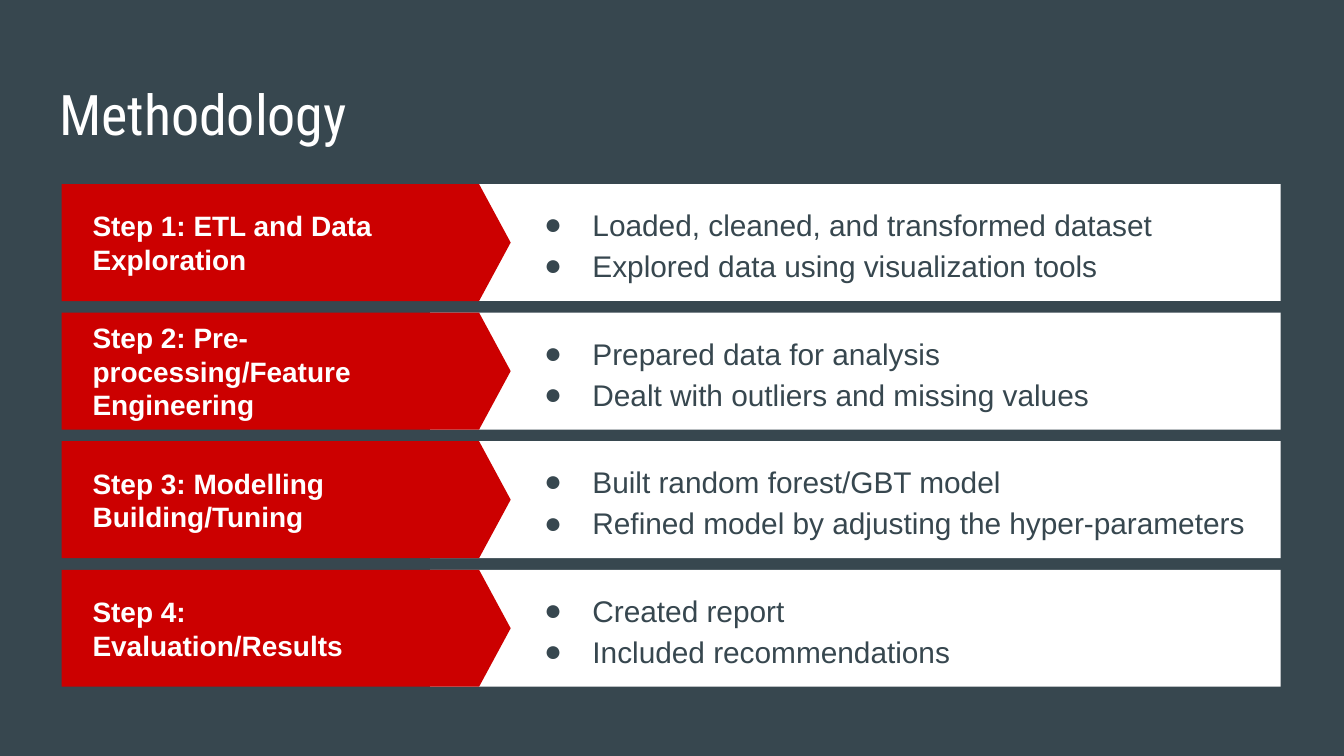
"""Build the Methodology slide: four step banners with their actions."""
import pptx
import pptx.util
from pptx.dml.color import RGBColor
from pptx.enum.shapes import MSO_SHAPE
from pptx.enum.text import MSO_ANCHOR, PP_ALIGN
from pptx.oxml import parse_xml
from pptx.oxml.ns import nsdecls

SLATE = RGBColor(0x37, 0x47, 0x4F)
RED = RGBColor(0xCC, 0x00, 0x00)
WHITE = RGBColor(0xFF, 0xFF, 0xFF)

FIRST_ROW, LAST_ROW, ROW_HEIGHT = 1.37, 4.24, 0.87
PANEL = (3.2, 6.33)
BANNER = (0.46, 3.34)
STEP = (0.59, 2.65)
ACTIONS = (3.81, 5.59)

STEPS = [
    ("Step 1: ETL and Data Exploration",
     ["Loaded, cleaned, and transformed dataset", "Explored data using visualization tools"]),
    ("Step 2: Pre-processing/Feature Engineering",
     ["Prepared data for analysis", "Dealt with outliers and missing values"]),
    ("Step 3: Modelling Building/Tuning",
     ["Built random forest/GBT model", "Refined model by adjusting the hyper-parameters"]),
    ("Step 4: Evaluation/Results",
     ["Created report", "Included recommendations"]),
]


def place(column, top):
    """Return the box of a column in the row that starts at top."""
    left, width = column
    return [pptx.util.Inches(length) for length in (left, top, width, ROW_HEIGHT)]


def set_frame(frame, anchor):
    """Give a text frame wrapping, equal insets and an anchor."""
    frame.word_wrap = True
    frame.vertical_anchor = anchor
    frame.margin_left = frame.margin_right = pptx.util.Inches(0.1)
    frame.margin_top = frame.margin_bottom = pptx.util.Inches(0.1)


def set_font(paragraph, name, size, color, bold=False):
    """Format all the text of a paragraph."""
    font = paragraph.font
    font.name, font.size, font.bold = name, pptx.util.Pt(size), bold
    font.color.rgb = color


def add_bullet(paragraph):
    """Give a paragraph a hanging round bullet."""
    properties = paragraph._p.get_or_add_pPr()
    properties.set("marL", str(pptx.util.Inches(0.5)))
    properties.set("indent", str(pptx.util.Inches(-0.36)))
    for element in (f'<a:buClr {nsdecls("a")}><a:srgbClr val="{SLATE}"/></a:buClr>',
                    f'<a:buFont {nsdecls("a")} typeface="Arial"/>',
                    f'<a:buChar {nsdecls("a")} char="●"/>'):
        properties.insert_element_before(parse_xml(element), "a:tabLst", "a:defRPr", "a:extLst")


def add_block(group, kind, column, top, color):
    """Add a plain filled shape to a group and return it."""
    block = group.shapes.add_shape(kind, *place(column, top))
    block.shadow.inherit = False
    block.fill.solid()
    block.fill.fore_color.rgb = color
    block.line.fill.background()
    return block


def add_text(slide, column, top, lines):
    """Add a middle-anchored text box and return its paragraphs."""
    frame = slide.shapes.add_textbox(*place(column, top)).text_frame
    set_frame(frame, MSO_ANCHOR.MIDDLE)
    frame.text = "\n".join(lines)
    return frame.paragraphs


def add_step(slide, top, step, actions):
    """Add one row: white panel, red banner, step name and actions."""
    group = slide.shapes.add_group_shape()
    add_block(group, MSO_SHAPE.RECTANGLE, PANEL, top, WHITE)
    banner = add_block(group, MSO_SHAPE.PENTAGON, BANNER, top, RED)
    banner.adjustments[0] = 0.27
    for paragraph in add_text(slide, STEP, top, [step]):
        set_font(paragraph, "Arial", 15, WHITE, bold=True)
    for paragraph in add_text(slide, ACTIONS, top, actions):
        set_font(paragraph, "Arial", 16, SLATE)
        paragraph.line_spacing = 1.15
        add_bullet(paragraph)


def add_title(slide, text):
    """Fill, move and format the title placeholder."""
    title = slide.shapes.title
    title.left, title.top = pptx.util.Inches(0.34), pptx.util.Inches(0.49)
    title.width, title.height = pptx.util.Inches(9.32), pptx.util.Inches(0.63)
    set_frame(title.text_frame, MSO_ANCHOR.TOP)
    title.text_frame.text = text
    heading = title.text_frame.paragraphs[0]
    heading.alignment = PP_ALIGN.LEFT
    set_font(heading, "Roboto Condensed", 30, WHITE)


def main():
    """Build and save the slide."""
    deck = pptx.Presentation()
    deck.slide_width = pptx.util.Inches(10)
    deck.slide_height = deck.slide_width * 9 // 16
    slide = deck.slides.add_slide(deck.slide_layouts[5])
    slide.background.fill.solid()
    slide.background.fill.fore_color.rgb = SLATE
    add_title(slide, "Methodology")
    pitch = (LAST_ROW - FIRST_ROW) / (len(STEPS) - 1)
    for row, (step, actions) in enumerate(STEPS):
        add_step(slide, FIRST_ROW + row * pitch, step, actions)
    deck.save("out.pptx")


if __name__ == "__main__":
    main()
